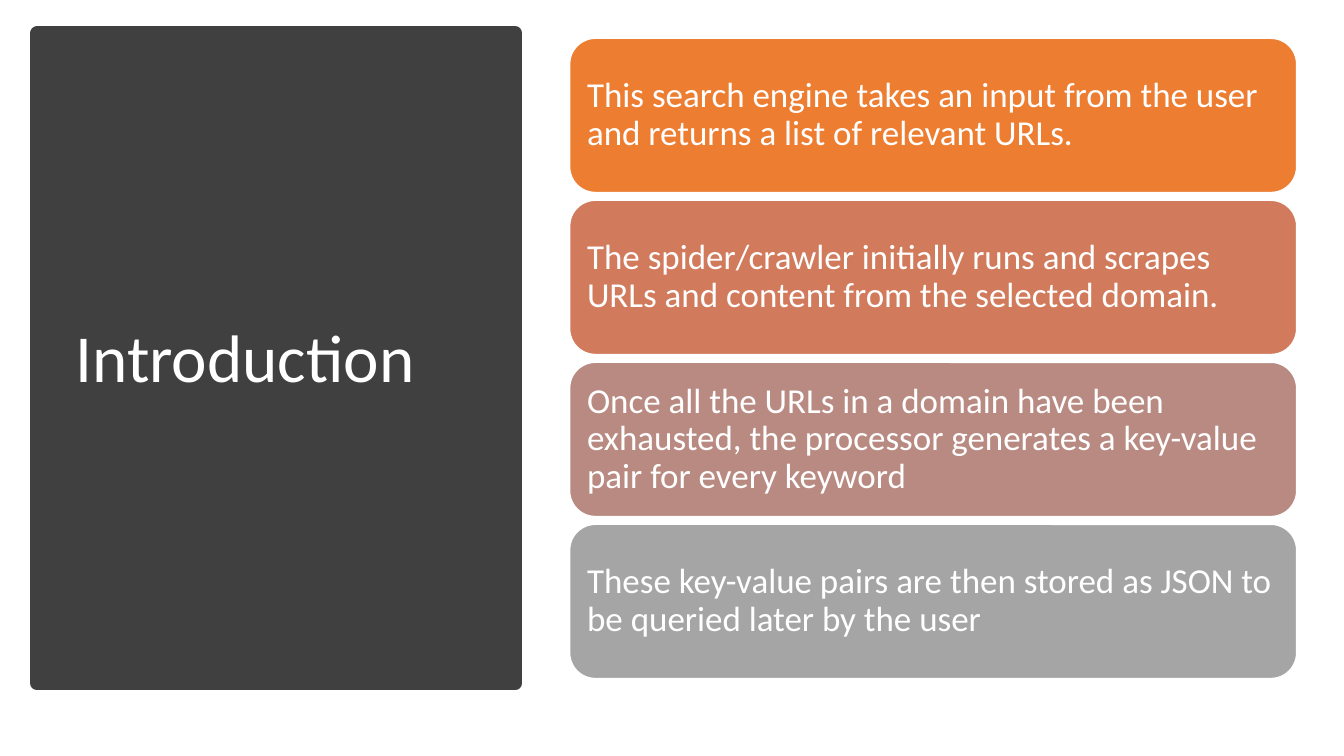
from pptx import Presentation
from pptx.dml.color import RGBColor
from pptx.enum.shapes import MSO_SHAPE as Shape
from pptx.enum.text import MSO_ANCHOR as Anchor, PP_ALIGN as Align
from pptx.util import Inches, Pt

COLOURS = {
    "panel": "404040",
    "white": "FFFFFF",
    "orange": "ED7D31",
    "terracotta": "D17B5C",
    "rose": "B98A82",
    "grey": "A5A5A5",
}
STEPS = [
    ("orange", "This search engine takes an input from the user and returns a list of relevant URLs."),
    ("terracotta", "The spider/crawler initially runs and scrapes URLs and content from the selected domain."),
    ("rose", "Once all the URLs in a domain have been exhausted, the processor generates "
             "a key-value pair for every keyword"),
    ("grey", "These key-value pairs are then stored as JSON to be queried later by the user"),
]
CARD_LEFT, CARD_WIDTH = 42.39, 54.09
CARD_TOP, CARD_HEIGHT, CARD_PITCH = 5.07, 20.4, 21.43


def colour(name):
    return RGBColor.from_string(COLOURS[name])


def write(shape, text, size, font="Calibri", ink="white", inset=0.1):
    """Fill a shape with one left-aligned, vertically centred paragraph."""
    frame = shape.text_frame
    frame.word_wrap = True
    frame.vertical_anchor = Anchor.MIDDLE
    frame.margin_left = frame.margin_right = Inches(inset)
    frame.margin_top = frame.margin_bottom = Inches(inset)
    para = frame.paragraphs[0]
    para.alignment = Align.LEFT
    para.line_spacing = 0.9
    span = para.add_run()
    span.text = text
    span.font.name = font
    span.font.size = Pt(size)
    span.font.color.rgb = colour(ink)


class SlideBuilder:
    """Draws on one slide, with every length in percent of the slide's size."""

    def __init__(self, deck):
        self.deck = deck
        self.page = deck.slides.add_slide(deck.slide_layouts.get_by_name("Title Only"))

    def area(self, left, top, width, height):
        across, down = self.deck.slide_width / 100, self.deck.slide_height / 100
        return [round(length) for length in
                (left * across, top * down, width * across, height * down)]

    def block(self, kind, area, fill, line, line_width):
        shape = self.page.shapes.add_shape(kind, *self.area(*area))
        shape.shadow.inherit = False
        shape.fill.solid()
        shape.fill.fore_color.rgb = colour(fill)
        shape.line.color.rgb = colour(line)
        shape.line.width = Pt(line_width)
        return shape

    def title(self, text, area):
        """Place the title placeholder in front of everything drawn so far."""
        title = self.page.shapes.title
        title.left, title.top, title.width, title.height = self.area(*area)
        write(title, text, size=48, inset=0.1)
        self.page.shapes._spTree.append(title._element)

    def card(self, text, area, fill):
        card = self.block(Shape.ROUNDED_RECTANGLE, area, fill, "white", 1)
        write(card, text, size=25)


def main():
    deck = Presentation()
    deck.slide_width, deck.slide_height = Inches(13.33), Inches(7.5)
    builder = SlideBuilder(deck)
    builder.block(Shape.RECTANGLE, (2.78, 4.4, 35.56, 86), "panel", "panel", 10)
    builder.title("Introduction", (4.88, 9.33, 31.21, 76.67))
    for row, (fill, text) in enumerate(STEPS):
        top = CARD_TOP + row * CARD_PITCH
        builder.card(text, (CARD_LEFT, top, CARD_WIDTH, CARD_HEIGHT), fill)
    deck.save("out.pptx")


if __name__ == "__main__":
    main()
